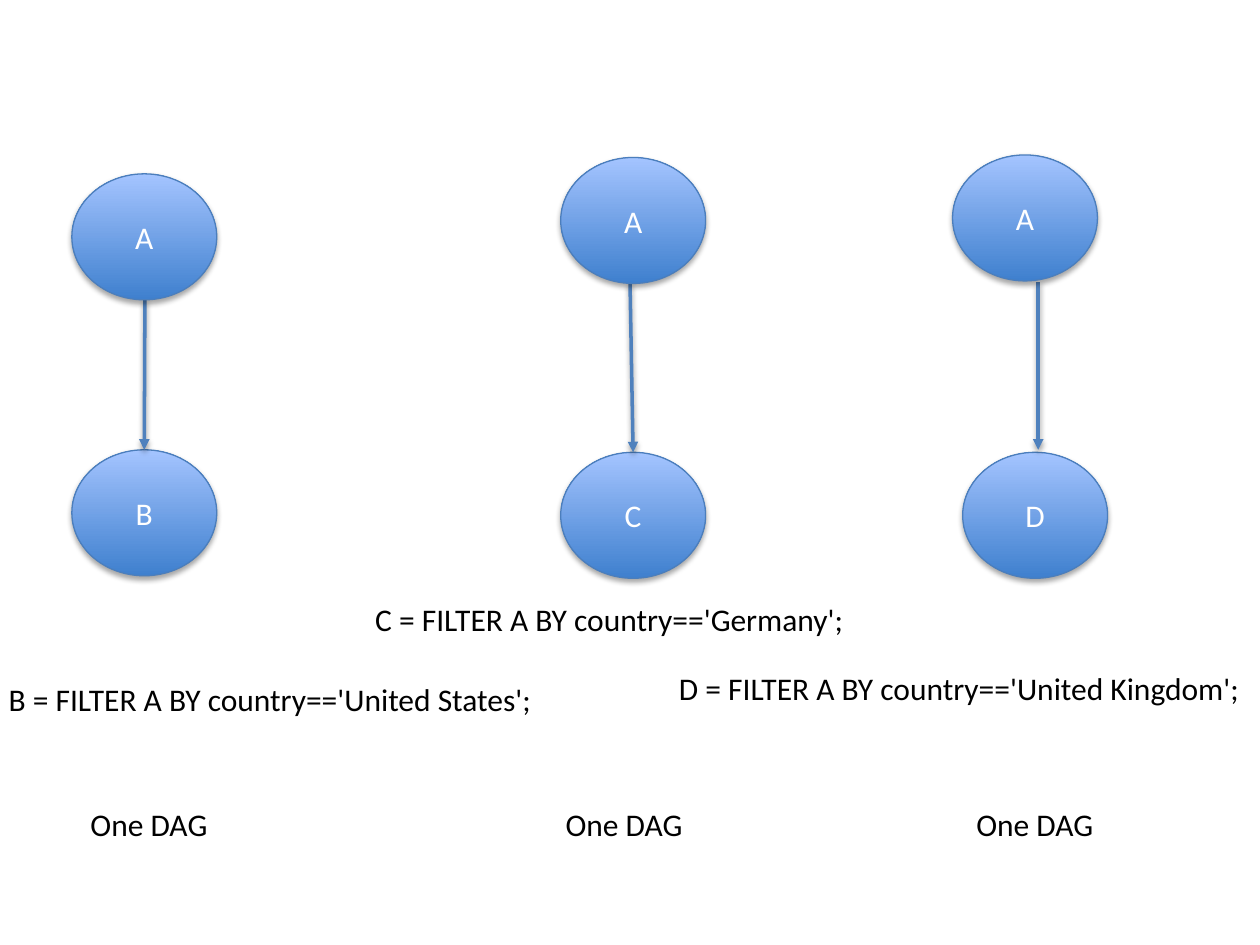
from dataclasses import dataclass

from lxml import etree
from pptx import Presentation
from pptx import util as u
from pptx.dml.color import RGBColor as Rgb
from pptx.enum import shapes, text
from pptx.oxml.ns import qn


@dataclass(frozen=True)
class Theme:
    """Colours, type and sizes, with lengths in grid units."""
    font: str = "Calibri"
    size: int = 18
    low: str = "3F80CE"
    high: str = "A4C4FF"
    edge: str = "4B7EBC"
    arrow: str = "4F81BD"
    ink: str = "000000"
    light: str = "FFFFFF"
    wide: float = 11.5
    tall: float = 10


THEME = Theme()
COLS, ROWS = 100, 75
WIDTH, HEIGHT = u.Inches(10), u.Inches(7.5)

# root, child, arrow start, arrow end, joined, filter, filter place and width, label place
FLOWS = [
    ((5.7, 13.8), ("B", 5.7, 35.7), (11.5, 23.8), (11.5, 35.7), True,
     "United States", (-0.3, 53.5), 44, (6.2, 63.4)),
    ((44.5, 12.5), ("C", 44.5, 35.9), (50, 22.4), (50.3, 35.9), True,
     "Germany", (28.8, 47.1), 39.6, (43.9, 63.4)),
    ((75.6, 12.3), ("D", 76.4, 35.9), (82.4, 22.4), (82.4, 35.7), False,
     "United Kingdom", (52.9, 52.6), 47, (76.5, 63.4)),
]


def across(col):
    """Turn grid columns into a length."""
    return round(WIDTH * col / COLS)


def down(row):
    """Turn grid rows into a length."""
    return round(HEIGHT * row / ROWS)


def style(frame, words, color, align):
    """Write one line of text and format it."""
    frame.text = words
    para = frame.paragraphs[0]
    para.alignment = align
    font = para.runs[0].font
    font.name, font.size = THEME.font, u.Pt(THEME.size)
    font.color.rgb = Rgb.from_string(color)


def node(slide, name, col, row):
    """Draw a shaded ellipse, with the theme's soft shadow."""
    oval = slide.shapes.add_shape(
        shapes.MSO_SHAPE.OVAL, across(col), down(row),
        across(THEME.wide), down(THEME.tall))
    oval.fill.gradient()
    oval.fill.gradient_angle = 90
    for stop, (place, color) in zip(oval.fill.gradient_stops,
                                    ((0, THEME.low), (1, THEME.high))):
        stop.position = place
        stop.color.rgb = Rgb.from_string(color)
    oval.line.color.rgb = Rgb.from_string(THEME.edge)
    oval.line.width = u.Pt(0.75)
    oval.text_frame.vertical_anchor = text.MSO_ANCHOR.MIDDLE
    style(oval.text_frame, name, THEME.light, text.PP_ALIGN.CENTER)
    return oval


def arrow(slide, start, end, goal=None):
    """Draw an arrow and join it to the top of its goal, if any."""
    line = slide.shapes.add_connector(
        shapes.MSO_CONNECTOR.STRAIGHT, across(start[0]), down(start[1]),
        across(end[0]), down(end[1]))
    if goal is not None:
        line.end_connect(goal, 0)
    line.line.color.rgb = Rgb.from_string(THEME.arrow)
    line.line.width = u.Pt(2)
    etree.SubElement(line.line._get_or_add_ln(), qn("a:tailEnd"), type="triangle")


def label(slide, words, place, wide):
    """Add a text box of one line."""
    box = slide.shapes.add_textbox(
        across(place[0]), down(place[1]), across(wide), down(4))
    box.text_frame.word_wrap = False
    box.text_frame.auto_size = text.MSO_AUTO_SIZE.SHAPE_TO_FIT_TEXT
    style(box.text_frame, words, THEME.ink, text.PP_ALIGN.LEFT)


def main():
    """Build the slide of three separate graphs."""
    deck = Presentation()
    deck.slide_width, deck.slide_height = WIDTH, HEIGHT
    slide = deck.slides.add_slide(deck.slide_layouts[6])
    for root, child, start, end, joined, land, place, wide, foot in FLOWS:
        goal = node(slide, *child)
        arrow(slide, start, end, goal if joined else None)
        node(slide, "A", *root)
        label(slide, f"{child[0]} = FILTER A BY country=='{land}';", place, wide)
        label(slide, "One DAG", foot, 11.4)
    deck.save("out.pptx")


if __name__ == "__main__":
    main()
